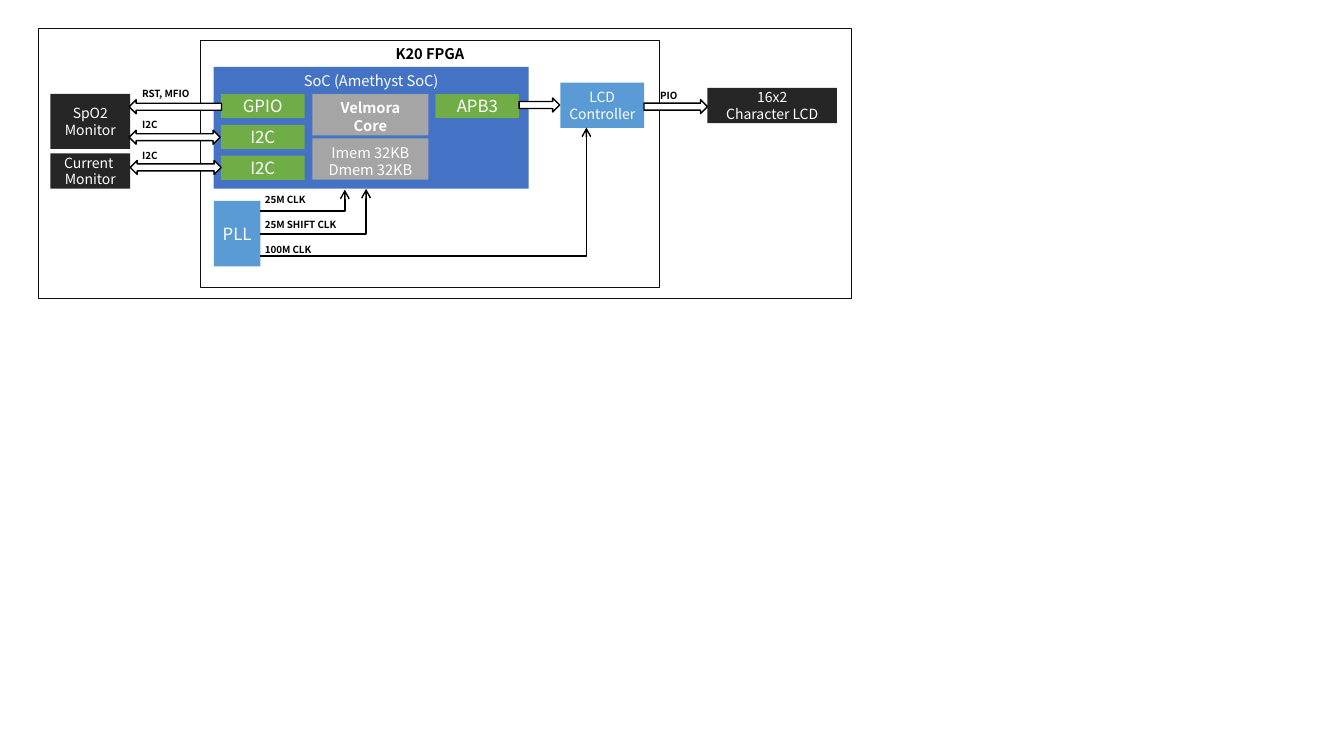
from lxml import etree
from pptx import Presentation
from pptx.dml.color import RGBColor
from pptx.enum import shapes, text
from pptx.oxml import ns
from pptx.util import Pt

FONT = "Noto Sans CJK JP"
BLACK, WHITE, INK, CHARCOAL = "000000", "FFFFFF", "0D0D0D", "262626"
BLUE, SKY, GREEN, GRAY = "4472C4", "5B9BD5", "70AD47", "A5A5A5"
SHAPE = shapes.MSO_SHAPE


def paint(color_format, color):
    """Set a fill's, line's or font's colour from a hex string."""
    color_format.rgb = RGBColor.from_string(color)


def write(shape, words, size=10, color=WHITE, bold=False, align="CENTER", anchor="MIDDLE", inset=True):
    """Put formatted paragraphs into a shape, one for each line."""
    frame = shape.text_frame
    frame.word_wrap = True
    frame.vertical_anchor = getattr(text.MSO_ANCHOR, anchor)
    if not inset:
        frame.margin_left = frame.margin_top = frame.margin_right = frame.margin_bottom = 0
    frame.text = words
    for paragraph in frame.paragraphs:
        paragraph.alignment = getattr(text.PP_ALIGN, align)
        font = paragraph.runs[0].font
        font.name, font.size, font.bold = FONT, Pt(size), bold
        paint(font.color, color)


def style(shape, fill=None, line=None, width=1):
    """Give a shape its fill and outline, and take its shadow away."""
    shape.shadow.inherit = False
    if fill:
        shape.fill.solid()
        paint(shape.fill.fore_color, fill)
    else:
        shape.fill.background()
    if line:
        paint(shape.line.color, line)
        shape.line.width = Pt(width)
    else:
        shape.line.fill.background()


def block(slide, box, words="", fill=None, line=None, width=1, kind=SHAPE.RECTANGLE, **format):
    """Draw a preset shape in a box and write its words."""
    shape = slide.shapes.add_shape(kind, *map(Pt, box))
    style(shape, fill, line, width)
    if words:
        write(shape, words, **format)
    return shape


def label(slide, left, top, words):
    """Draw a small bold signal name."""
    signal = slide.shapes.add_textbox(Pt(left), Pt(top), Pt(75.6), Pt(15.7))
    write(signal, words, size=7, color=BLACK, bold=True, align="LEFT", anchor="TOP")
    signal.text_frame.auto_size = text.MSO_AUTO_SIZE.SHAPE_TO_FIT_TEXT


def soc(slide, left, top, width, height):
    """Draw the SoC with its peripherals, core and memory."""
    block(slide, (left, top, width, height), "SoC (Amethyst SoC)", BLUE, size=10.5, anchor="TOP")
    ports = [("GPIO", 5.1, 0), ("I2C", 5.1, 1), ("I2C", 5.1, 2), ("APB3", 158.4, 0)]
    for name, x, row in ports:
        block(slide, (left + x, top + 19.5 + 22 * row, 59.8, 17.3), name, GREEN, size=12, inset=False)
    for row, (words, bold) in enumerate([("Velmora\nCore", True), ("Imem 32KB\nDmem 32KB", False)]):
        block(slide, (left + 70.4, top + 19.5 + 31.7 * row, 83, 29.5), words, GRAY,
              size=10.5, bold=bold, anchor="TOP")


def clock(slide, left, top, right, end):
    """Draw a clock line that runs right and then up to an arrowhead."""
    route = slide.shapes.build_freeform(Pt(left), Pt(top))
    route.add_line_segments([(Pt(right), Pt(top)), (Pt(right), Pt(end))], close=False)
    wire = route.convert_to_shape()
    style(wire, line=BLACK)
    etree.SubElement(wire.line._get_or_add_ln(), ns.qn("a:tailEnd"), type="arrow")


def pll(slide, left, top, width, height):
    """Draw the PLL and the clocks that leave it."""
    block(slide, (left, top, width, height), "PLL", SKY, size=12, inset=False)
    clocks = [("25M CLK", 7.2, 93.6, -8), ("25M SHIFT CLK", 23.7, 108.8, -8.6), ("100M CLK", 39.4, 266.2, -52.4)]
    for row, (name, y, reach, end) in enumerate(clocks):
        clock(slide, left + width, top + y, left + reach, top + end)
        label(slide, left + 29.4, top - 8.6 + 18 * row, name)


def fpga(slide, left, top, width, height):
    """Draw the FPGA frame and everything inside it."""
    soc(slide, left + 9.4, top + 18.9, 225, 87.1)
    block(slide, (left + 257, top + 30.2, 59.8, 32.4), "LCD\nController", SKY, inset=False)
    block(slide, (left, top, width, height), "K20 FPGA", line=INK,
          size=10.5, color=BLACK, bold=True, anchor="TOP")
    pll(slide, left + 9.4, top + 114.7, 33.3, 46.8)


def devices(slide, left, top):
    """Draw the devices outside the FPGA."""
    for words, x, y, width, height in [("SpO2\nMonitor", 8.6, 46.8, 57, 39.4),
                                       ("Current \nMonitor", 8.6, 89.3, 57, 25.2),
                                       ("16x2\nCharacter LCD", 478, 42.5, 92.4, 25.2)]:
        block(slide, (left + x, top + y, width, height), words, CHARCOAL, inset=False)


def buses(slide, left, top):
    """Draw the block arrows between parts and their signal names."""
    both, one = SHAPE.LEFT_RIGHT_ARROW, SHAPE.RIGHT_ARROW
    for kind, x, y, width, turn in [(both, 64.8, 72.8, 65, 0), (both, 65.6, 94.4, 65, 0),
                                    (one, 343.4, 49.8, 29, 0), (one, 432.6, 51, 45.4, 0),
                                    (one, 64.8, 51, 66, 180)]:
        block(slide, (left + x, top + y, width, 10), fill=WHITE, line=BLACK, kind=kind).rotation = turn
    for x, y, words in [(67, 83.5, "I2C"), (67, 61.2, "I2C"), (67, 38.9, "RST, MFIO"), (437, 40.4, "PIO")]:
        label(slide, left + x, top + y, words)


def board(slide, left, top, width, height):
    """Draw the whole block diagram in its frame."""
    block(slide, (left, top, width, height), fill=WHITE, line=INK, width=0.25)
    devices(slide, left, top)
    fpga(slide, left + 115.9, top + 8.6, 327.6, 176.4)
    buses(slide, left, top)


def main():
    """Build the slide and save it."""
    deck = Presentation()
    deck.slide_width, deck.slide_height = Pt(960), Pt(540)
    board(deck.slides.add_slide(deck.slide_layouts[6]), 27.4, 20.2, 581, 193)
    deck.save("out.pptx")


if __name__ == "__main__":
    main()
